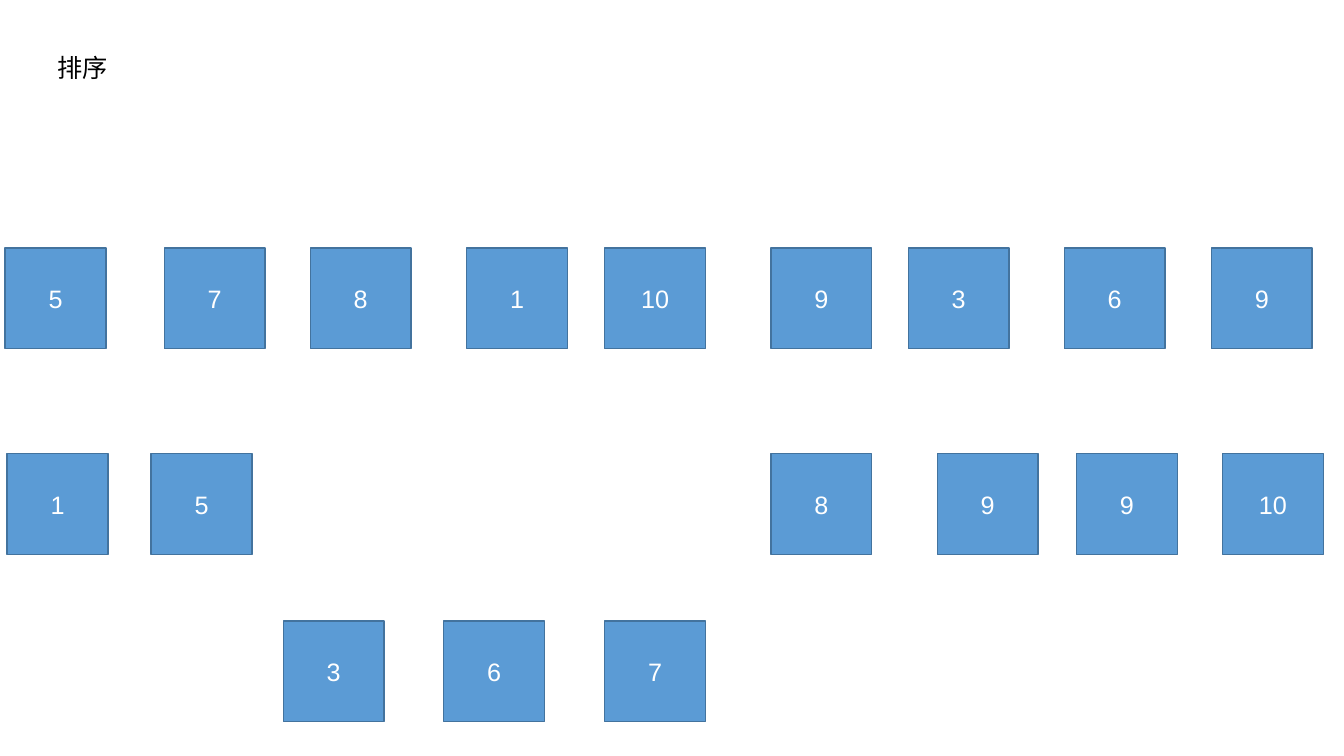
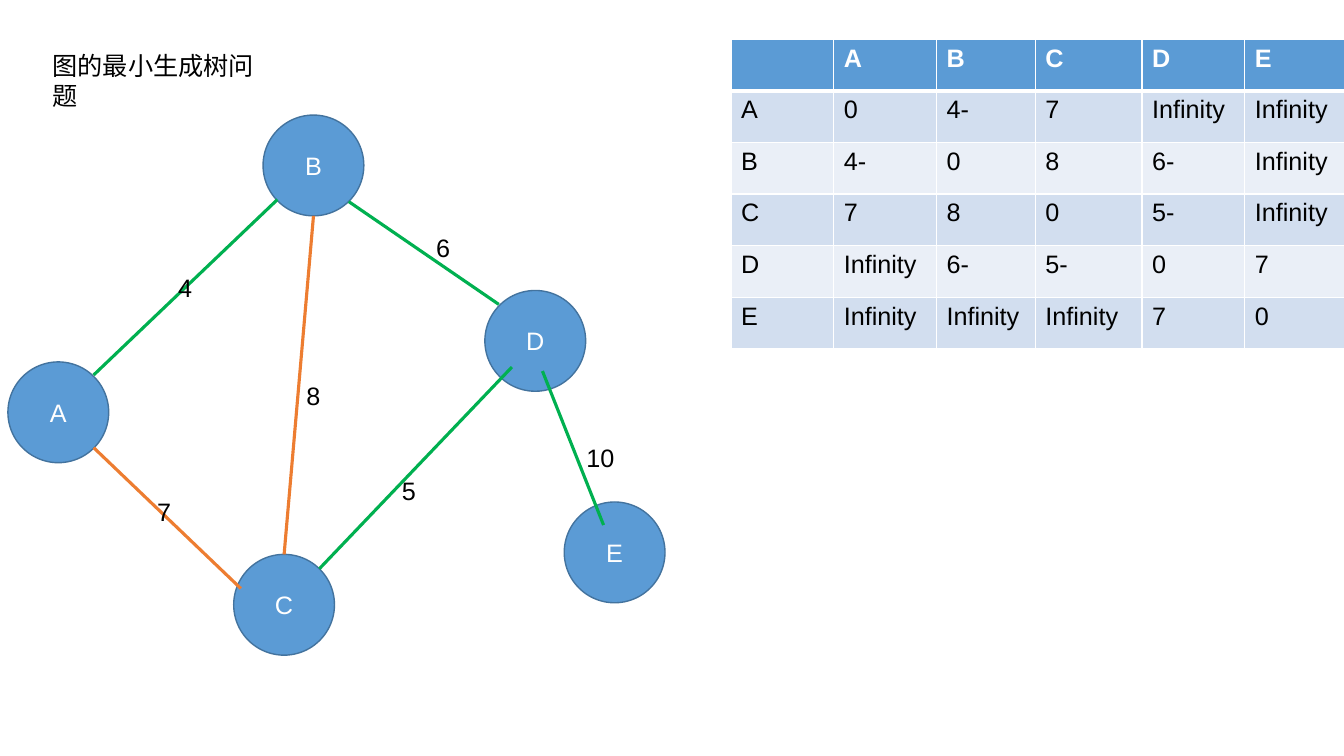
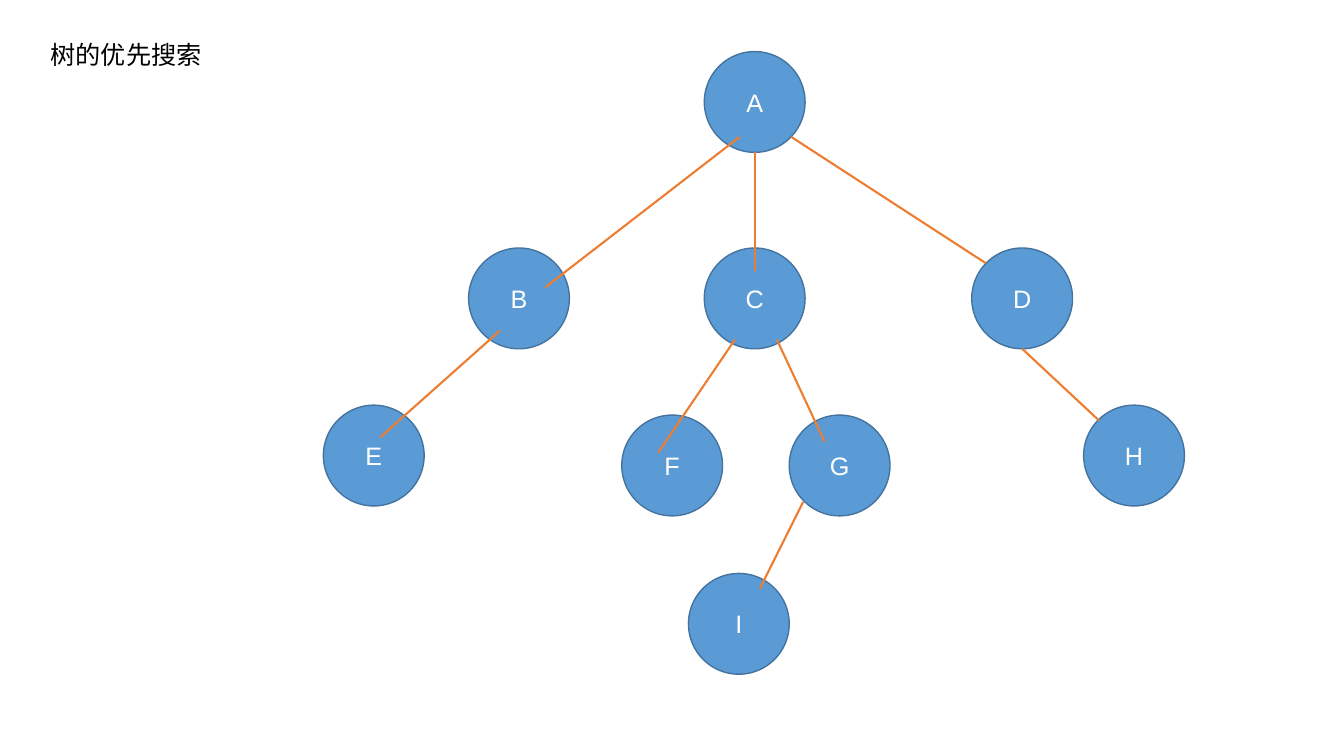
from lxml import etree
from pptx import Presentation
from pptx.dml.color import RGBColor
from pptx.enum.shapes import MSO_CONNECTOR, MSO_SHAPE
from pptx.enum.text import MSO_ANCHOR, MSO_AUTO_SIZE, PP_ALIGN
from pptx.oxml.ns import qn
from pptx.util import Cm, Pt

RECTANGLE, ELLIPSE = MSO_SHAPE.RECTANGLE, MSO_SHAPE.OVAL
STRAIGHT = MSO_CONNECTOR.STRAIGHT
TOP, MIDDLE = MSO_ANCHOR.TOP, MSO_ANCHOR.MIDDLE
LEFT, CENTER = PP_ALIGN.LEFT, PP_ALIGN.CENTER
GROW = MSO_AUTO_SIZE.SHAPE_TO_FIT_TEXT
TITLE_ONLY = 5
NODE_SIZE = 2.54
LINE_HEIGHT = 1.02

COLORS = {
    "node": "5B9BD5",
    "outline": "43739E",
    "white": "FFFFFF",
    "black": "000000",
    "chosen": "00B050",
    "edge": "ED7D31",
    "odd_row": "D2DEEF",
    "even_row": "EAEFF7",
}
FONT = {"name": "Arial", "size": Pt(18), "bold": False}
LABEL_FRAME = {"word_wrap": False, "auto_size": GROW, "vertical_anchor": TOP}
NODE_FRAME = {"word_wrap": True, "vertical_anchor": MIDDLE}


def color(name):
    return RGBColor.from_string(COLORS[name])


def set_values(target, values):
    for name, value in values.items():
        setattr(target, name, value)


class Deck:
    def __init__(self):
        self.deck = Presentation()
        set_values(self.deck, {"slide_width": Cm(33.87), "slide_height": Cm(19.05)})
        self.page = None

    def add_page(self, title, left, top, width):
        self.page = self.deck.slides.add_slide(self.deck.slide_layouts[TITLE_ONLY])
        box = self.page.shapes.title
        set_values(box, {"left": Cm(left), "top": Cm(top), "width": Cm(width), "height": Cm(LINE_HEIGHT)})
        self.fill_text(box.text_frame, title, "black", LABEL_FRAME)

    def fill_text(self, frame, text, ink, frame_values, align=LEFT, bold=False):
        set_values(frame, frame_values)
        para = frame.paragraphs[0]
        para.alignment = align
        span = para.add_run()
        span.text = text
        set_values(span.font, {**FONT, "bold": bold})
        span.font.color.rgb = color(ink)

    def node(self, kind, text, left, top):
        shape = self.page.shapes.add_shape(kind, Cm(left), Cm(top), Cm(NODE_SIZE), Cm(NODE_SIZE))
        shape.shadow.inherit = False
        shape.fill.solid()
        shape.fill.fore_color.rgb = color("node")
        shape.line.color.rgb = color("outline")
        shape.line.width = Pt(1)
        self.fill_text(shape.text_frame, text, "white", NODE_FRAME, CENTER)

    def edge(self, start, end, ink, weight):
        line = self.page.shapes.add_connector(STRAIGHT, *map(Cm, start + end))
        line.line.color.rgb = color(ink)
        line.line.width = Pt(weight)
        etree.SubElement(line._element.spPr, qn("a:effectLst"))

    def label(self, text, left, top, width):
        box = self.page.shapes.add_textbox(Cm(left), Cm(top), Cm(width), Cm(LINE_HEIGHT))
        self.fill_text(box.text_frame, text, "black", LABEL_FRAME)

    def borders(self, cell, weights):
        properties = cell._tc.get_or_add_tcPr()
        for side, weight in weights.items():
            line = etree.SubElement(properties, qn(f"a:ln{side}"), w=str(Pt(weight)))
            fill = etree.SubElement(line, qn("a:solidFill"))
            etree.SubElement(fill, qn("a:srgbClr"), val=COLORS["white"])

    def table(self, rows, left, top, widths, row_height):
        frame = self.page.shapes.add_table(
            len(rows), len(widths), Cm(left), Cm(top), Cm(sum(widths)), Cm(row_height * len(rows)))
        table = frame.table
        for column, width in zip(table.columns, widths):
            column.width = Cm(width)
        for row_index, row in enumerate(rows):
            table.rows[row_index].height = Cm(row_height)
            header = row_index == 0
            fill = "node" if header else ("even_row", "odd_row")[row_index % 2]
            weights = {"L": 1, "R": 1, "T": 3 if row_index == 1 else 1, "B": 3 if header else 1}
            for column_index, text in enumerate(row):
                cell = table.cell(row_index, column_index)
                self.borders(cell, weights)
                cell.fill.solid()
                cell.fill.fore_color.rgb = color(fill)
                if text:
                    self.fill_text(cell.text_frame, text, "white" if header else "black", {}, bold=header)


def sorting_page(deck):
    deck.add_page("排序", 1.19, 1.19, 1.78)
    rows = {
        6.25: [("5", 0.13), ("7", 4.14), ("8", 7.82), ("1", 11.76), ("10", 15.24),
               ("9", 19.43), ("3", 22.89), ("6", 26.82), ("9", 30.53)],
        11.43: [("1", 0.18), ("5", 3.81), ("8", 19.43), ("9", 23.62), ("9", 27.13), ("10", 30.81)],
        15.65: [("3", 7.14), ("6", 11.18), ("7", 15.24)],
    }
    for top, numbers in rows.items():
        for text, left in numbers:
            deck.node(RECTANGLE, text, left, top)


def spanning_tree_page(deck):
    deck.add_page("图的最小生成树问题", 1.07, 1.14, 6.22)
    vertices = {"A": (0.2, 9.12), "B": (6.63, 2.9), "C": (5.89, 13.97),
                "D": (12.22, 7.32), "E": (14.22, 12.65)}
    for text, place in vertices.items():
        deck.node(ELLIPSE, text, *place)
    edges = [
        ((6.99, 5.03), (2.36, 9.45), "chosen"),
        ((13.67, 9.35), (15.21, 13.23), "chosen"),
        ((8.79, 5.08), (12.57, 7.67), "chosen"),
        ((7.9, 5.44), (7.16, 13.97), "edge"),
        ((6.07, 14.83), (2.36, 11.28), "edge"),
        ((12.9, 9.25), (8.05, 14.33), "chosen"),
    ]
    for start, end, ink in edges:
        deck.edge(start, end, ink, 2.25)
    weights = [("4", 4.24, 6.73, 0.86), ("7", 3.71, 12.37, 0.86), ("8", 7.47, 9.45, 0.86),
               ("6", 10.74, 5.72, 0.86), ("10", 14.53, 11.02, 1.22), ("5", 9.88, 11.86, 0.86)]
    for weight in weights:
        deck.label(*weight)
    distances = [
        ("", "A", "B", "C", "D", "E"),
        ("A", "0", "4-", "7", "Infinity", "Infinity"),
        ("B", "4-", "0", "8", "6-", "Infinity"),
        ("C", "7", "8", "0", "5-", "Infinity"),
        ("D", "Infinity", "6-", "5-", "0", "7"),
        ("E", "Infinity", "Infinity", "Infinity", "7", "0"),
    ]
    deck.table(distances, 18.42, 0.99, (2.59, 2.59, 2.49, 2.69, 2.59, 2.59), 1.3)


def tree_search_page(deck):
    deck.add_page("树的优先搜索", 1.02, 0.86, 4.32)
    vertices = {"A": (17.75, 1.3), "B": (11.81, 6.25), "C": (17.75, 6.25),
                "D": (24.49, 6.25), "E": (8.15, 10.21), "F": (15.67, 10.46),
                "G": (19.89, 10.46), "H": (27.31, 10.21), "I": (17.35, 14.45)}
    for text, place in vertices.items():
        deck.node(ELLIPSE, text, *place)
    edges = [
        ((19.94, 3.45), (24.84, 6.63)),
        ((18.64, 3.45), (13.74, 7.24)),
        ((19.02, 3.84), (19.02, 6.83)),
        ((20.24, 12.65), (19.15, 14.83)),
        ((20.78, 11.13), (19.58, 8.56)),
        ((18.52, 8.56), (16.59, 11.4)),
        ((12.6, 8.33), (9.58, 11.02)),
        ((25.76, 8.79), (27.69, 10.59)),
    ]
    for start, end in edges:
        deck.edge(start, end, "edge", 1.5)


slides = Deck()
sorting_page(slides)
spanning_tree_page(slides)
tree_search_page(slides)
slides.deck.save("out.pptx")
